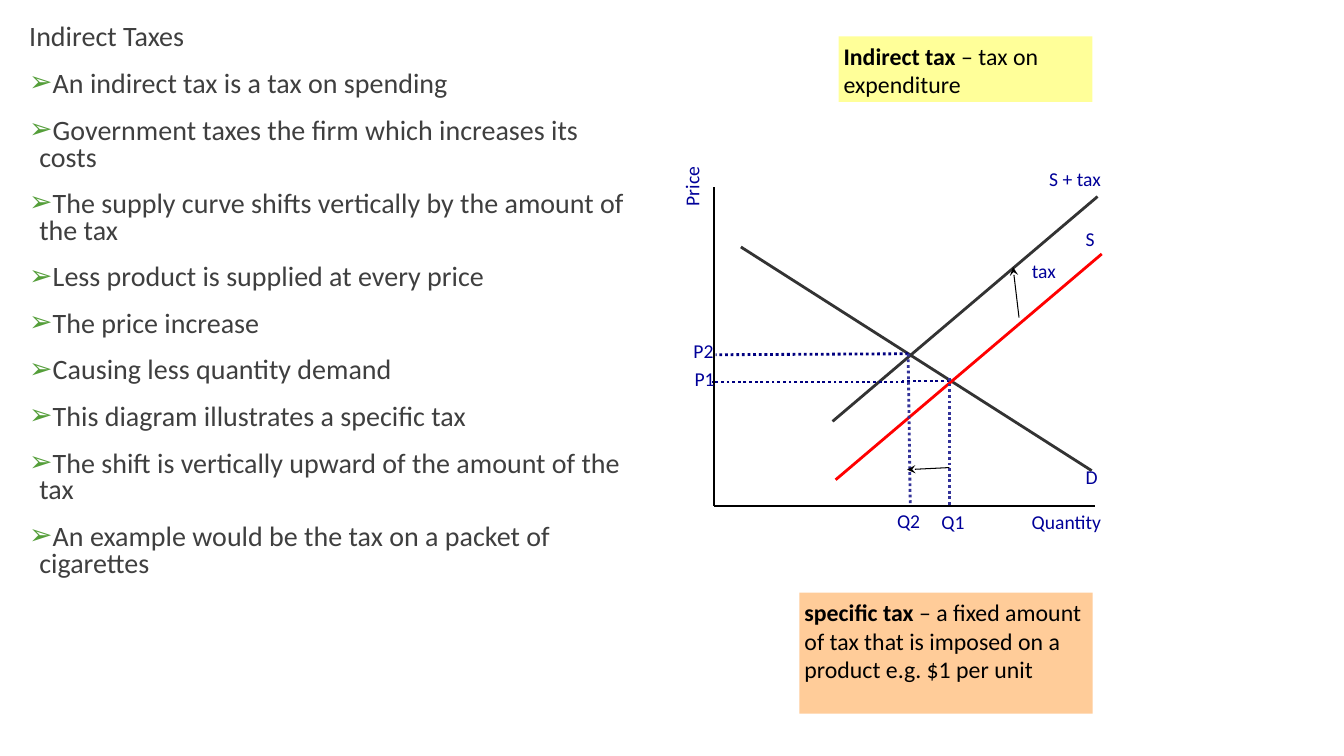
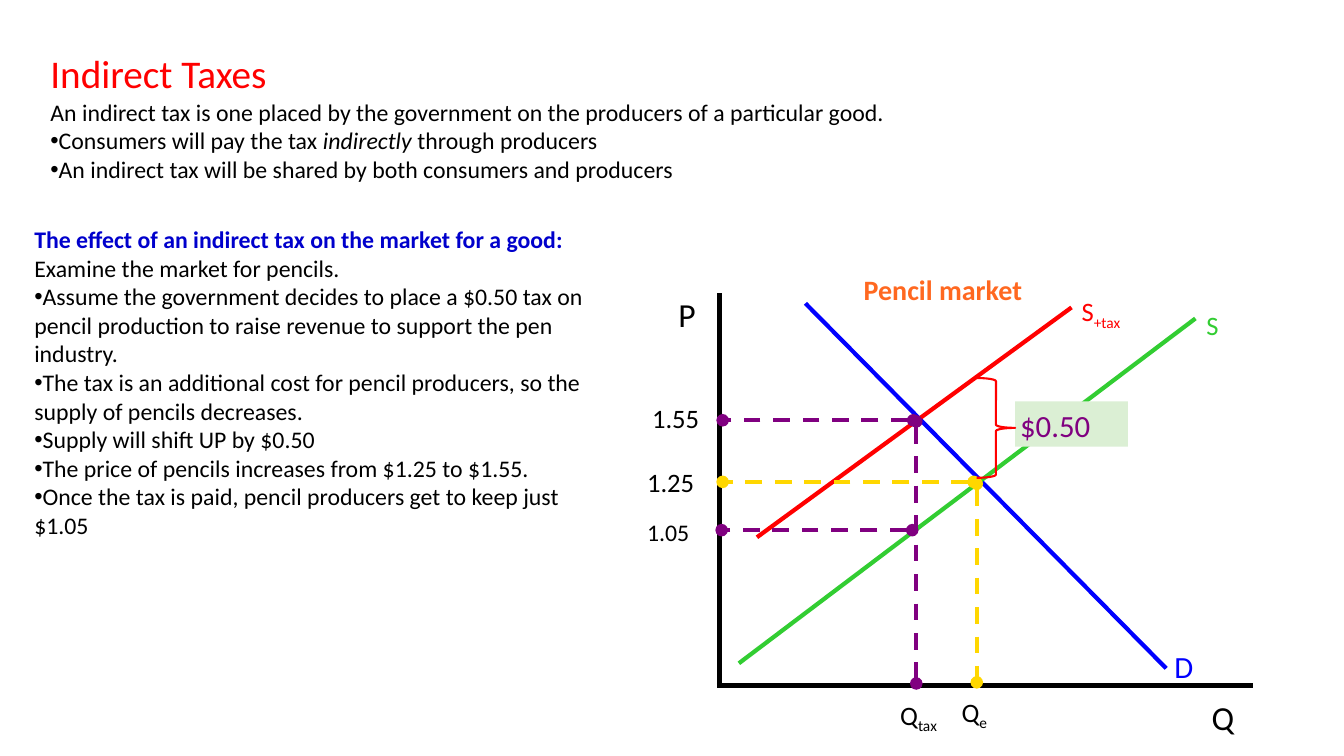
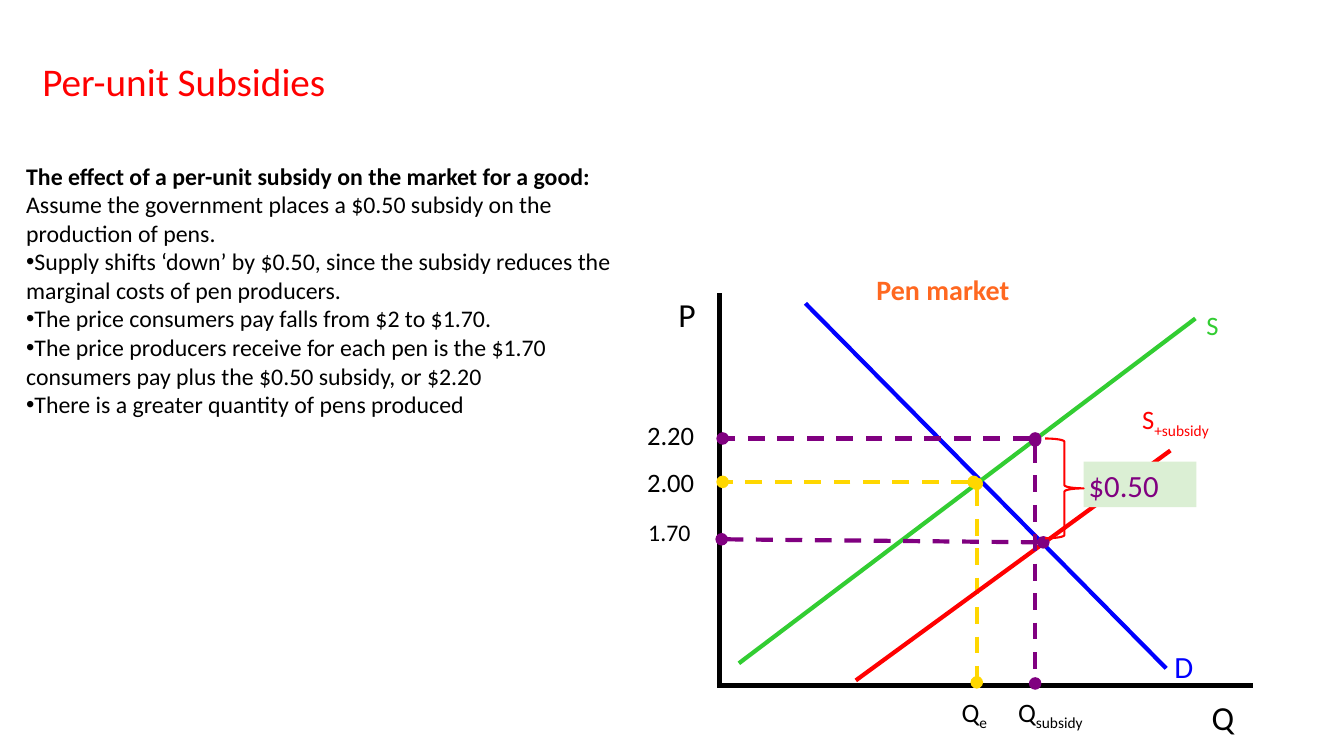
from dataclasses import dataclass
from typing import Any

from lxml import etree
from pptx import Presentation
from pptx.dml.color import RGBColor
from pptx.enum import dml, shapes, text
from pptx.oxml import ns
from pptx.util import Pt

FONT = "Calibri"
BLACK, RED, GREEN, BLUE = "000000", "FF0000", "32CD32", "0000FF"
PURPLE, GOLD, ORANGE, MINT = "800080", "FFD700", "FF6820", "DBEFD4"
NAVY, INDIGO, CHARCOAL, LABEL_BLUE = "000080", "333399", "333333", "000099"
GREY, LEAF, HEADING_BLUE = "3F3F3F", "549E39", "0000CC"
LEFT, CENTER, RIGHT = text.PP_ALIGN.LEFT, text.PP_ALIGN.CENTER, text.PP_ALIGN.RIGHT
DOT, DASH = dml.MSO_LINE.ROUND_DOT, dml.MSO_LINE.DASH


def rgb(value):
    """Turn a hex string into a colour."""
    return RGBColor.from_string(value)


def add_xml(parent, tag, **attributes):
    """Append a DrawingML element and return it."""
    child = etree.SubElement(parent, ns.qn(tag))
    for name, value in attributes.items():
        child.set(name, value)
    return child


@dataclass
class Bullet:
    """Mark, colour and indents of a list item."""
    mark: str = "•"
    color: str = BLACK
    margin: float = 0
    indent: float = -8.64


DOT_BULLET = Bullet()
ARROW_BULLET = Bullet("➢", LEAF, 7.2, -10.8)


def set_bullet(paragraph, bullet):
    """Give a paragraph its bullet, or none."""
    properties = paragraph._p.get_or_add_pPr()
    properties.set("marL", str(Pt(bullet.margin) if bullet else 0))
    properties.set("indent", str(Pt(bullet.indent) if bullet else 0))
    if bullet:
        color = add_xml(properties, "a:buClr")
        add_xml(color, "a:srgbClr", val=bullet.color)
        add_xml(properties, "a:buFont", typeface="Arial")
        add_xml(properties, "a:buChar", char=bullet.mark)
    else:
        add_xml(properties, "a:buNone")


def write(frame, paragraphs, size, color=BLACK, align=LEFT, inset=(3.6, 3.6),
          spacing=1.0, before=0):
    """Fill a frame with (bullet, runs) paragraphs; a run is (text, style)."""
    frame.word_wrap = True
    frame.auto_size = text.MSO_AUTO_SIZE.NONE
    frame.vertical_anchor = text.MSO_ANCHOR.TOP
    frame.margin_left = frame.margin_right = Pt(inset[0])
    frame.margin_top = frame.margin_bottom = Pt(inset[1])
    for index, (bullet, runs) in enumerate(paragraphs):
        paragraph = frame.add_paragraph() if index else frame.paragraphs[0]
        set_bullet(paragraph, bullet)
        paragraph.alignment = align
        paragraph.line_spacing = spacing
        paragraph.space_before = Pt(before if index else 0)
        paragraph.space_after = Pt(0)
        for words, style in runs:
            run = paragraph.add_run()
            run.text = words
            run.font.name = FONT
            run.font.size = Pt(size)
            run.font.bold = style.get("bold", False)
            run.font.italic = style.get("italic", False)
            run.font.color.rgb = rgb(style.get("color", color))
            if style.get("sub"):
                run._r.get_or_add_rPr().set("baseline", "-25000")


def plain(words, bullet=None):
    """Make a paragraph of one unstyled run."""
    return bullet, [(words, {})]


def place(shape, box):
    """Move a shape to a (left, top, width, height) box."""
    shape.left, shape.top, shape.width, shape.height = map(Pt, box)


def fill_title(slide, words, box, size=28, color=RED, **layout):
    """Set the slide title."""
    place(slide.shapes.title, box)
    write(slide.shapes.title.text_frame, [plain(words)], size, color, **layout)


def fill_body(slide, index, paragraphs, box, size=17, color=BLACK, **layout):
    """Set the text of a body placeholder."""
    body = slide.placeholders[index]
    place(body, box)
    write(body.text_frame, paragraphs, size, color, **layout)


def panel(slide, box, fill, runs, size=17, color=BLACK):
    """Draw a filled rectangle with text."""
    rectangle = slide.shapes.add_shape(shapes.MSO_SHAPE.RECTANGLE, *map(Pt, box))
    rectangle.shadow.inherit = False
    rectangle.fill.solid()
    rectangle.fill.fore_color.rgb = rgb(fill)
    rectangle.line.fill.background()
    write(rectangle.text_frame, [(None, runs)], size, color)


@dataclass
class Diagram:
    """A drawing area whose parts are placed from its top left corner."""
    slide: Any
    left: float
    top: float

    def at(self, x, y):
        """Convert area coordinates to slide lengths."""
        return Pt(self.left + x), Pt(self.top + y)

    def line(self, start, end, color=BLACK, width=3.0, dash=None, head=None, tail=None):
        """Draw a straight line."""
        connector = self.slide.shapes.add_connector(
            shapes.MSO_CONNECTOR.STRAIGHT, *self.at(*start), *self.at(*end))
        connector.line.color.rgb = rgb(color)
        connector.line.width = Pt(width)
        if dash:
            connector.line.dash_style = dash
        ln = connector.line._get_or_add_ln()
        for tag, kind in (("a:headEnd", head), ("a:tailEnd", tail)):
            if kind:
                add_xml(ln, tag, type=kind)
        add_xml(connector._element.spPr, "a:effectLst")

    def guide(self, start, end, color):
        """Draw a dashed guide with round ends."""
        self.line(start, end, color, dash=DASH, head="oval", tail="oval")

    def label(self, words, x, y, width, height, size, color=BLACK, align=LEFT,
              sub="", bold=False, inset=3.6, rotation=0):
        """Write a label with an optional subscript."""
        box = self.slide.shapes.add_textbox(*self.at(x, y), Pt(width), Pt(height))
        box.rotation = rotation
        runs = [(words, {"bold": bold})]
        if sub:
            runs.append((sub, {"sub": True}))
        write(box.text_frame, [(None, runs)], size, color, align, (inset, inset))


@dataclass
class Market:
    """What differs between the two market diagrams."""
    title: str
    shift: str
    supply_start: tuple
    supply_label: tuple
    guides: tuple
    prices: tuple
    quantity_label: tuple
    brace: tuple


def draw_market(slide, left, top, market):
    """Draw supply, demand and shifted supply with their guides."""
    area = Diagram(slide, left, top)
    floor = 299.6
    area.label(market.title, 136, 0.8, 159, 30, 20, ORANGE, CENTER, bold=True)
    area.line((56, 19.5), (56, floor))
    area.line((54, floor), (437, floor))
    area.line((117.3, 26.7), (375, 287.4), BLUE)
    area.line((69.8, 283.8), (395.9, 37.5), GREEN)
    area.label("S", 400.2, 27.4, 44, 29, 19, GREEN)
    area.label("D", 377.2, 269.4, 49, 32, 22, BLUE)
    area.label("Q", 403.8, 303.9, 51, 35, 24)
    area.label("P", 23, 16.6, 47, 35, 24)
    area.guide((239.7, 155.6), (239.7, 297.4), GOLD)
    area.label("Q", 225.3, 303.2, 57.6, 32.4, 19, sub="e")

    x, y = market.supply_start
    area.line((x, y), (x + 224.7, y - 164.2), RED)
    area.label("S", *market.supply_label, 83, 32.4, 19, RED, sub="+" + market.shift)
    for start, end in market.guides:
        area.guide(start, end, PURPLE)
    for price, x, y, size in market.prices:
        area.label(price, x, y, 65, 29, size)
    area.label("Q", *market.quantity_label, 88, 32.4, 19, sub=market.shift)

    x, y = market.brace
    panel(slide, (left + x + 27.4, top + y + 16.6, 80.6, 32.4), MINT,
          [("$0.50", {})], 22, PURPLE)
    area.guide((237.5, 154.2), (58.2, 154.2), GOLD)
    brace = slide.shapes.add_shape(
        shapes.MSO_SHAPE.RIGHT_BRACE, *area.at(x, y), Pt(27.4), Pt(71.3))
    brace.shadow.inherit = False
    brace.fill.background()
    brace.line.color.rgb = rgb(RED)
    brace.line.width = Pt(1.5)


def draw_tax_shift(slide, left, top):
    """Draw the supply shift caused by a specific tax."""
    area = Diagram(slide, left, top)
    area.line((37.8, 17.9), (37.8, 245.4), width=1.5)
    area.line((37.8, 245.4), (309.9, 245.4), width=1.5)
    for start, end, color in (
            ((312, 24.4), (122.7, 185), CHARCOAL),
            ((57.2, 60.4), (307.8, 220.2), CHARCOAL),
            ((315, 65.4), (124.9, 226.7), RED)):
        area.line(start, end, color, 2)
    for start, end, color in (
            ((173.8, 156.9), (36.3, 156.9), NAVY),
            ((206.2, 156.2), (172.4, 156.2), NAVY),
            ((176.7, 136.7), (39.2, 137.4), NAVY),
            ((206.2, 154), (206.2, 244.7), INDIGO),
            ((176.7, 136.7), (178.2, 244.7), INDIGO)):
        area.line(start, end, color, 2, DOT)
    for start, end in (((255.9, 110.8), (251.6, 74.8)), ((206.2, 218), (176, 219.5))):
        area.line(start, end, width=0.75, tail="stealth")
    for words, x, y, width, align, rotation in (
            ("S", 300.6, 43, 67, LEFT, 0),
            ("S + tax", 274.6, 0.6, 67, LEFT, 0),
            ("tax", 262.2, 66.2, 55, LEFT, 0),
            ("D", 300.6, 213, 43, LEFT, 0),
            ("P1", 1.8, 143.2, 39.6, RIGHT, 0),
            ("P2", 1, 123, 39.6, RIGHT, 0),
            ("Q1", 172.4, 245.4, 47.5, RIGHT, 0),
            ("Q2", 141.4, 244.7, 46.8, RIGHT, 0),
            ("Quantity", 235, 245.4, 82.5, RIGHT, 0),
            ("Price", -4, 15, 51.1, RIGHT, 270)):
        area.label(words, x, y, width, 21.6, 14, LABEL_BLUE, align,
                   inset=2.9, rotation=rotation)


def specific_tax_slide(slide):
    """Build the slide on a specific indirect tax."""
    layout = {"inset": (0, 3.6), "spacing": 0.8}
    points = (
        "An indirect tax is a tax on spending",
        "Government taxes the firm which increases its costs",
        "The supply curve shifts vertically by the amount of the tax",
        "Less product is supplied at every price",
        "The price increase",
        "Causing less quantity demand",
        "This diagram illustrates a specific tax",
        "The shift is vertically upward of the amount of the tax",
        "An example would be the tax on a packet of cigarettes")
    fill_title(slide, "Indirect Taxes", (20.9, 14.4, 430, 30), 20, GREY, **layout)
    fill_body(slide, 1, [plain(point, ARROW_BULLET) for point in points],
              (20.9, 47.9, 430, 490), 20, GREY, before=14, **layout)
    panel(slide, (599, 26, 181.4, 46.8), "FFFF99",
          [("Indirect tax", {"bold": True}), (" – tax on expenditure", {})])
    panel(slide, (571, 423.4, 209.5, 86.4), "FFCC99",
          [("specific tax", {"bold": True}),
           (" – a fixed amount of tax that is imposed on a product e.g. $1 per unit", {})])
    draw_tax_shift(slide, 472, 116)


def effect_list(heading, color, opening, points):
    """Make the paragraphs that explain an effect on the market."""
    lead = (None, [(heading + " ", {"bold": True, "color": color}), (opening, {})])
    return [lead] + [plain(point, DOT_BULLET) for point in points]


def pencil_slide(slide):
    """Build the slide on the taxed pencil market."""
    fill_title(slide, "Indirect Taxes", (32.4, 31.7, 860, 38))
    fill_body(slide, 1, [
        plain("An indirect tax is one placed by the government on the producers "
              "of a particular good."),
        (DOT_BULLET, [("Consumers will pay the tax ", {}),
                      ("indirectly", {"italic": True}),
                      (" through producers", {})]),
        plain("An indirect tax will be shared by both consumers and producers",
              DOT_BULLET)], (32.4, 65.9, 860, 70))
    fill_body(slide, 2, effect_list(
        "The effect of an indirect tax on the market for a good:", HEADING_BLUE,
        "Examine the market for pencils.",
        ("Assume the government decides to place a $0.50 tax on pencil production "
         "to raise revenue to support the pen industry.",
         "The tax is an additional cost for pencil producers, so the supply of "
         "pencils decreases.",
         "Supply will shift UP by $0.50",
         "The price of pencils increases from $1.25 to $1.55.",
         "Once the tax is paid, pencil producers get to keep just $1.05")),
        (20.9, 157, 424, 227))
    draw_market(slide, 458, 190, Market(
        title="Pencil market", shift="tax",
        supply_start=(82.7, 193.8), supply_label=(311, 17.4),
        guides=(((194.3, 110.2), (58.2, 110.2)),
                ((196.5, 111), (196.5, 298.2)),
                ((193.6, 188.7), (57.5, 188.7))),
        prices=(("1.55", 4.2, 93.7, 19), ("1.25", 0.6, 139, 19),
                ("1.05", 0.6, 176.5, 17)),
        quantity_label=(181.4, 305.4), brace=(239.7, 80)))


def pen_slide(slide):
    """Build the slide on the subsidised pen market."""
    fill_title(slide, "Per-unit Subsidies", (26.6, 37.4, 860, 70))
    fill_body(slide, 1, effect_list(
        "The effect of a per-unit subsidy on the market for a good:", BLACK,
        "Assume the government places a $0.50 subsidy on the production of pens.",
        ("Supply shifts ‘down’ by $0.50, since the subsidy reduces the marginal "
         "costs of pen producers.",
         "The price consumers pay falls from $2 to $1.70.",
         "The price producers receive for each pen is the $1.70 consumers pay plus "
         "the $0.50 subsidy, or $2.20",
         "There is a greater quantity of pens produced")),
        (15.1, 111.6, 432, 207))
    draw_market(slide, 458, 190, Market(
        title="Pen market", shift="subsidy",
        supply_start=(153.3, 296), supply_label=(354.2, 94.4),
        guides=(((281.4, 123.2), (58.2, 123.2)),
                ((281.4, 124.6), (281.4, 298.2)),
                ((287.2, 197.4), (57.5, 195.2))),
        prices=(("2.20", 0.6, 105.9, 19), ("2.00", 0.6, 139, 19),
                ("1.70", 1.4, 176.5, 17)),
        quantity_label=(265.6, 303.2), brace=(288.6, 123.2)))


def main():
    """Build and save the presentation."""
    deck = Presentation()
    deck.slide_width, deck.slide_height = Pt(960), Pt(540)
    for layout, build in ((1, specific_tax_slide), (3, pencil_slide), (1, pen_slide)):
        build(deck.slides.add_slide(deck.slide_layouts[layout]))
    deck.save("out.pptx")


if __name__ == "__main__":
    main()
